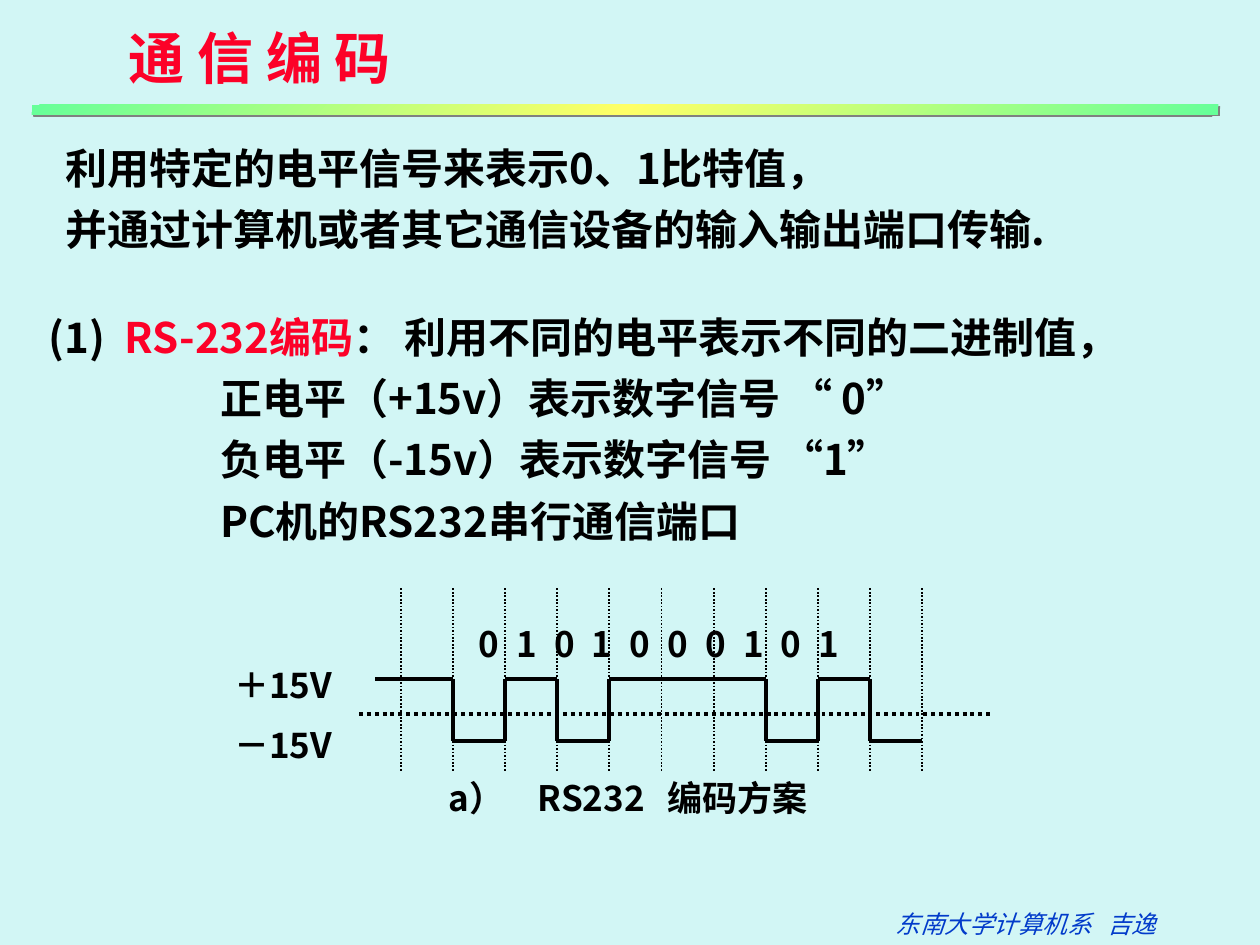
from copy import deepcopy

from lxml.etree import SubElement
from pptx import Presentation
from pptx.dml.color import RGBColor
from pptx.enum.dml import MSO_LINE
from pptx.enum.shapes import MSO_CONNECTOR, MSO_SHAPE
from pptx.enum.text import MSO_ANCHOR, PP_ALIGN
from pptx.oxml.ns import qn
from pptx.util import Inches, Pt

SANS = "Noto Sans CJK SC"
color = RGBColor.from_string


def write(box, lines, size, ink="000000", latin=SANS, tabs=(), gap=0):
    """Fill a box with left-aligned lines; a line is a list of (text, colour) runs or a string."""
    frame = box.text_frame
    frame.word_wrap = True
    frame.vertical_anchor = MSO_ANCHOR.TOP
    for number, line in enumerate(lines):
        paragraph = frame.paragraphs[0] if number == 0 else frame.add_paragraph()
        if tabs:
            stops = SubElement(paragraph._p.get_or_add_pPr(), qn("a:tabLst"))
            for stop in tabs:
                SubElement(stops, qn("a:tab"), pos=str(Inches(stop)), algn="l")
        paragraph.alignment = PP_ALIGN.LEFT
        paragraph.line_spacing = Pt(round(size * 1.2))
        paragraph.space_before = Pt(gap if number else 0)
        for text, run_ink in [(line, ink)] if isinstance(line, str) else line:
            run = paragraph.add_run()
            run.text = text
            run.font.size = Pt(size)
            run.font.name = latin
            run.font.bold = latin == SANS
            run.font.italic = latin != SANS
            run.font.color.rgb = color(run_ink)
            SubElement(run.font._element, qn("a:ea"), typeface=SANS)


def draw_line(x1, y1, x2, y2, width=2.25, dash=None):
    line = slide.shapes.add_connector(
        MSO_CONNECTOR.STRAIGHT, Inches(x1), Inches(y1), Inches(x2), Inches(y2))
    line.line.color.rgb = color("000000")
    line.line.width = Pt(width)
    if dash:
        line.line.dash_style = dash
    SubElement(line._element.spPr, qn("a:effectLst"))


prs = Presentation()
prs.slide_width, prs.slide_height = Inches(10), Inches(7.5)
slide = prs.slides.add_slide(prs.slide_layouts[5])
slide.background.fill.solid()
slide.background.fill.fore_color.rgb = color("D2F6F5")

# Title and the gradient rule below it
title = slide.shapes.title
title.left, title.top = Inches(0.92), Inches(0.14)
title.width, title.height = Inches(2.65), Inches(0.64)
write(title, ["通 信 编 码"], 32, "FC0128")

rule = slide.shapes.add_shape(
    MSO_SHAPE.RECTANGLE, Inches(0.25), Inches(0.83), Inches(9.42), Inches(0.08))
rule.line.fill.background()
rule.fill.gradient()
rule.fill.gradient_angle = 135
stop_list = rule._element.spPr.find(".//" + qn("a:gsLst"))
stop_list.append(deepcopy(stop_list[0]))
for stop, position, hue in zip(
        rule.fill.gradient_stops, (0, 0.5, 1), ("66FF99", "FFFF66", "66FF99")):
    stop.position = position
    stop.color.rgb = color(hue)
rule.shadow.inherit = False
shadow = SubElement(rule._element.spPr.find(qn("a:effectLst")), qn("a:outerShdw"),
                    dist=str(Pt(1.4)), dir="2700000", algn="ctr", rotWithShape="0")
SubElement(shadow, qn("a:srgbClr"), val="808080")

# Introduction, encoding rules and author
intro = slide.shapes.add_textbox(Inches(0.42), Inches(1.08), Inches(8.4), Inches(1.17))
write(intro, ["利用特定的电平信号来表示0、1比特值，",
              "并通过计算机或者其它通信设备的输入输出端口传输."], 24, gap=6)

encoding = slide.shapes.add_textbox(Inches(0.29), Inches(2.42), Inches(9.1), Inches(2.2))
write(encoding, [
    [("(1)\t", "000000"), ("RS-232编码", "FC0128"),
     ("： 利用不同的电平表示不同的二进制值，", "000000")],
    "正电平（+15v）表示数字信号 “ 0”",
    "负电平（-15v）表示数字信号 “1”",
    "PC机的RS232串行通信端口"], 24, tabs=[0.6], gap=6)
for level_rule in encoding.text_frame.paragraphs[1:]:
    level_rule._p.get_or_add_pPr().set("marL", str(Inches(1.36)))

author = slide.shapes.add_textbox(Inches(7.01), Inches(7.16), Inches(2.5), Inches(0.34))
write(author, ["东南大学计算机系\t吉逸"], 14, "023BCA", "Times New Roman", tabs=[1.68])

# RS232 waveform: 0 is the high level, 1 the low level
bits = "0101000101"
high, low = 5.39, 5.88
edges = [3.18 + 0.414 * i for i in range(len(bits) + 1)]
levels = [high if bit == "0" else low for bit in bits]

for edge in edges:
    draw_line(edge, 4.67, edge, 6.12, 1, MSO_LINE.ROUND_DOT)
draw_line(2.85, 5.67, 7.88, 5.67, dash=MSO_LINE.ROUND_DOT)
draw_line(2.98, high, edges[0], high)
for i, level in enumerate(levels):
    draw_line(edges[i], level, edges[i + 1], level)
    if i and level != levels[i - 1]:
        draw_line(edges[i], high, edges[i], low)

bit_row = slide.shapes.add_textbox(Inches(3.7), Inches(4.89), Inches(3.6), Inches(0.43))
write(bit_row, ["\t".join(bits)], 20, tabs=[0.3 * i for i in range(1, len(bits))])

voltages = slide.shapes.add_textbox(Inches(1.76), Inches(5.22), Inches(1.2), Inches(0.9))
write(voltages, ["＋15V", "－15V"], 20, gap=10)

caption = slide.shapes.add_textbox(Inches(3.46), Inches(6.11), Inches(3.3), Inches(0.43))
write(caption, ["a）\tRS232\t编码方案"], 20, tabs=[0.71, 1.74])

prs.save("out.pptx")
